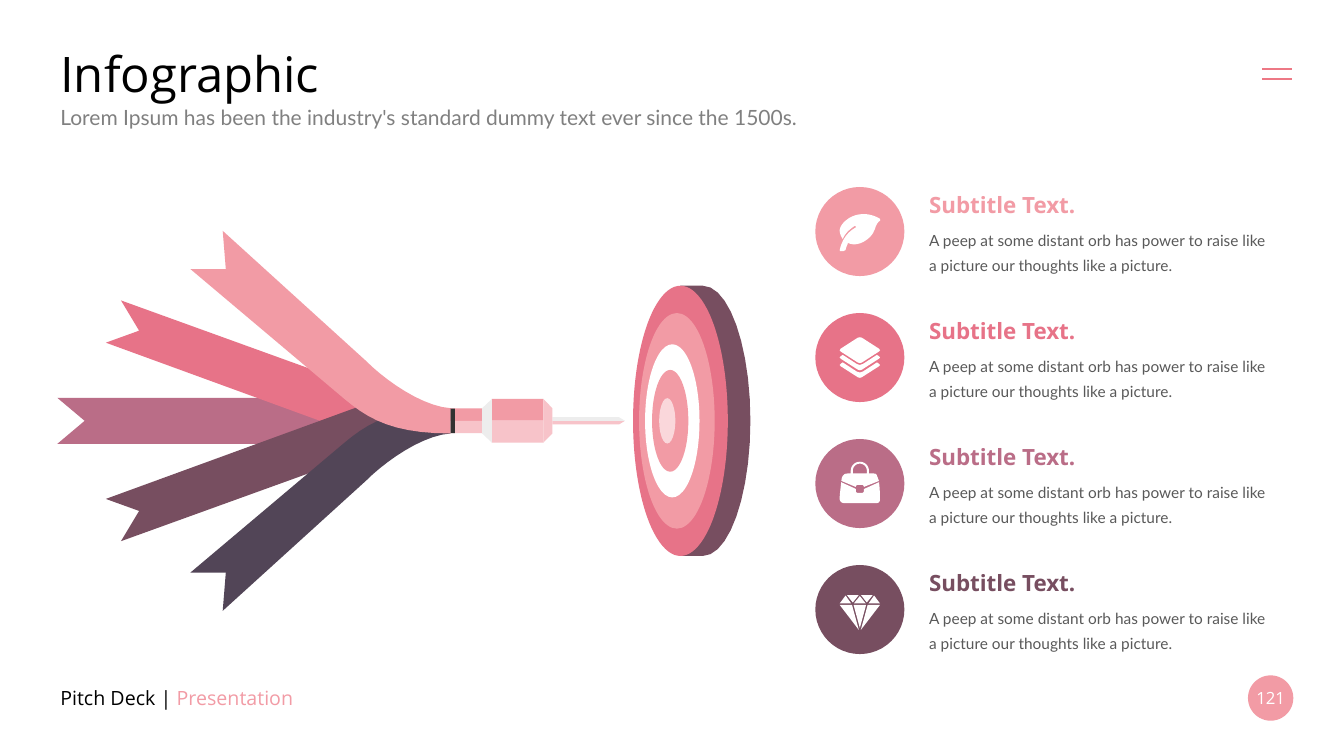
from lxml import etree
from pptx import Presentation
from pptx.dml.color import RGBColor
from pptx.enum.shapes import MSO_CONNECTOR, MSO_SHAPE
from pptx.enum.text import MSO_ANCHOR, PP_ALIGN
from pptx.oxml.ns import qn
from pptx.util import Pt

OVAL, RECTANGLE = MSO_SHAPE.OVAL, MSO_SHAPE.RECTANGLE
STRAIGHT = MSO_CONNECTOR.STRAIGHT
TOP, MIDDLE = MSO_ANCHOR.TOP, MSO_ANCHOR.MIDDLE
LEFT, CENTER = PP_ALIGN.LEFT, PP_ALIGN.CENTER

COLORS = {
    "pink": "F29BA5", "rose": "E77388", "mauve": "BA6D87", "plum": "774E60",
    "violet": "524557", "blush": "F7C3C9", "pale": "FAD7DB", "silver": "EDEDED",
    "white": "FFFFFF", "black": "000000", "charcoal": "323232",
    "menu": "ED7885", "gray": "808080", "body": "595959",
}
CURVE_STEPS = 10

deck = Presentation()
deck.slide_width, deck.slide_height = Pt(960), Pt(540)
page = deck.slides.add_slide(deck.slide_layouts[6])


def add_figure(figure, color, left, top, width=0, height=0):
    """Add a preset shape, or a list of contours relative to (left, top).

    A contour point is (x, y), or six numbers for a Bezier curve.
    """
    if isinstance(figure, list):
        builder = None
        for contour in figure:
            points = []
            for point in contour:
                if len(point) == 2:
                    points.append(point)
                    continue
                x0, y0 = points[-1]
                x1, y1, x2, y2, x3, y3 = point
                for step in range(1, CURVE_STEPS + 1):
                    t = step / CURVE_STEPS
                    a, b, c, d = (1 - t) ** 3, 3 * t * (1 - t) ** 2, 3 * t * t * (1 - t), t ** 3
                    points.append((a * x0 + b * x1 + c * x2 + d * x3,
                                   a * y0 + b * y1 + c * y2 + d * y3))
            points = [(Pt(left + x), Pt(top + y)) for x, y in points]
            if builder is None:
                builder = page.shapes.build_freeform(*points[0], scale=1.0)
            else:
                builder.move_to(*points[0])
            builder.add_line_segments(points[1:], close=True)
        shape = builder.convert_to_shape()
    else:
        shape = page.shapes.add_shape(figure, Pt(left), Pt(top), Pt(width), Pt(height))
    shape.shadow.inherit = False
    shape.fill.solid()
    shape.fill.fore_color.rgb = RGBColor.from_string(COLORS[color])
    shape.line.fill.background()


def add_text(left, top, width, height, spans, size, font, anchor=TOP,
             align=LEFT, bold=False, spacing=None):
    box = page.shapes.add_textbox(Pt(left), Pt(top), Pt(width), Pt(height))
    frame = box.text_frame
    frame.word_wrap = True
    frame.vertical_anchor = anchor
    if align == CENTER:
        frame.margin_left = frame.margin_right = 0
    paragraph = frame.paragraphs[0]
    paragraph.alignment = align
    if spacing:
        paragraph.line_spacing = Pt(spacing)
    for text, color in spans:
        span = paragraph.add_run()
        span.text = text
        span.font.name, span.font.size, span.font.bold = font, Pt(size), bold
        span.font.color.rgb = RGBColor.from_string(COLORS[color])


# Header and footer
add_figure(OVAL, "pink", 891.4, 482.4, 32.4, 32.4)
add_text(36, 28.1, 888, 47.5, [("Infographic", "black")], 35, "Open Sans", MIDDLE)
add_text(36, 71.3, 888, 25.2,
         [("Lorem Ipsum has been the industry's standard dummy text ever since the 1500s.", "gray")],
         15, "Lato")
add_text(36, 483.8, 237, 28.8, [("Pitch Deck | ", "black"), ("Presentation", "pink")],
         14, "Open Sans", MIDDLE)
add_text(888.2, 490.3, 38.9, 15.8, [("121", "white")], 12, "Open Sans", MIDDLE, CENTER)
for y in (49.2, 56.6):
    bar = page.shapes.add_connector(STRAIGHT, Pt(901.8), Pt(y), Pt(923), Pt(y))
    bar.line.color.rgb = RGBColor.from_string(COLORS["menu"])
    bar.line.width = Pt(1.5)
    etree.SubElement(bar._element.spPr, qn("a:effectLst"))

# Target, centred on the flight axis of the dart
AXIS = 300.6
target_edge = [(502, -96.5), (486, -96.5), (486, -85), (475.2, -68.5, 468, -37, 468, 0),
               (468, 37, 475.2, 68.5, 486, 85), (486, 96.5), (502, 96.5),
               (520.6, 96.5, 536, 53.6, 536, 0), (536, -53.6, 520.6, -96.5, 502, -96.5)]
add_figure([target_edge], "plum", 0, AXIS)
for color, left, width, height in (
    ("rose", 452.2, 67.7, 193), ("pink", 456.5, 54, 154), ("white", 460.8, 38.9, 109.4),
    ("pink", 465.8, 25.9, 72.7), ("pale", 470.9, 11.5, 32.4),
):
    add_figure(OVAL, color, left, AXIS - height / 2, width, height)

# Dart needle and tail ribbons
for color, side in (("blush", 2.6), ("silver", -2.6)):
    add_figure([[(394.6, 0), (394.6, side), (442.1, side), (446.4, 0)]], color, 0, AXIS)
middle_ribbon = [(41, -16.4), (60.5, 0), (41, 16.4), (263.5, 16.4), (263.5, -16.4)]
side_ribbon = [(86.4, -86), (99.4, -64.4), (75.6, -55.8), (286.6, 21.2), (297.4, -9.7)]
outer_ribbon = [(261.4, -42.8), (159.1, -135.7), (161.3, -108.4), (136, -108.4),
                (246.2, -15.5), (264.2, -0.4, 282.2, 9, 321.8, 9), (321.8, -9),
                (301.7, -10.4, 275.8, -28.4, 261.4, -42.8)]
for ribbon, color, flip in (
    (middle_ribbon, "mauve", 1), (side_ribbon, "rose", 1), (side_ribbon, "plum", -1),
    (outer_ribbon, "violet", -1), (outer_ribbon, "pink", 1),
):
    contour = [tuple(v * flip if i % 2 else v for i, v in enumerate(point)) for point in ribbon]
    add_figure([contour], color, 0, AXIS)

# Dart barrel
for left, width, half in ((321.8, 22.4, 8.9), (351.4, 36.7, 15.6)):
    add_figure(RECTANGLE, "pink", left, AXIS - half, width, half)
    add_figure(RECTANGLE, "blush", left, AXIS, width, half)
for color, wide, narrow in (("blush", 388.1, 394.6), ("silver", 351.4, 344.4)):
    add_figure([[(wide, -15.6), (narrow, -9), (narrow, 9), (wide, 15.6)]], color, 0, AXIS)
add_figure(RECTANGLE, "charcoal", 321.8, AXIS - 8.8, 3.1, 17.6)

# Icons, relative to the centre of their circles
leaf = [[(14.4, -9.1), (7.2, -13.5, -0.7, -13.5, -7.2, -9.9),
         (-10.8, -7.7, -13.7, -4.8, -14.4, -1.2), (-14.4, 1, -13.7, 3.1, -12.2, 5.3),
         (-10.8, 1.7, -7.9, -1.2, -3.6, -4.1), (-2.9, -3.7), (-2.9, -2.9),
         (-10.1, 1, -13, 7.4, -14.4, 13.2), (-14.2, 13.9), (-11.5, 13.9), (-10.1, 13.2),
         (-10.1, 11, -8.6, 9.6, -8.6, 8.1), (-2.9, 11, 4.3, 7.4, 7.9, 3.1),
         (9.4, 1.7, 10.1, -0.5, 10.8, -1.9), (11.5, -4.1, 12.2, -6.3, 14.4, -7.7)]]
sheet = [(-13.7, -4.3), (-1.4, 3.6), (0, 4), (1.4, 3.6), (13.7, -4.3), (14.4, -5.2),
         (13.7, -6.3), (1.4, -14.2), (0, -14.5), (-1.4, -14.2), (-13.7, -6.3), (-14.4, -5.2)]
band = [(-13.7, 0.8), (-1.4, 8.7), (0, 9.1), (1.4, 8.7), (13.7, 0.8), (14.4, 0),
        (13.7, -0.9), (12.2, -1.9), (2.2, 4.6), (0, 5.3), (-2.2, 4.6), (-12.2, -1.9),
        (-13.7, -0.9), (-14.4, 0)]
layers = [sheet] + [[(x, y + drop) for x, y in band] for drop in (0, 5.4)]
bag_flap = [(-2.9, 2.4), (-2.9, 1.6, -2.2, 0.9, -1.4, 0.9), (1.4, 0.9),
            (2.2, 0.9, 2.9, 1.6, 2.9, 2.4), (13.7, -1.9), (13, -3.4, 13, -4.1, 12.2, -5.5),
            (12.2, -7, 10.8, -7.2, 9.4, -7.2), (6.5, -7.2), (6.5, -9.1),
            (6.5, -12.7, 3.6, -15.6, 0, -15.6), (-3.6, -15.6, -6.5, -12.7, -6.5, -9.1),
            (-6.5, -7.2), (-8.6, -7.2), (-10.8, -7.2, -11.5, -6.3, -12.2, -5.5),
            (-13, -4.1, -13, -3.4, -13.2, -1.9)]
bag_handle = [(-5, -9.1), (-5, -12, -2.9, -14.2, 0, -14.2),
              (2.9, -14.2, 5, -12, 5, -9.1), (5, -7.2), (-5, -7.2)]
bag_body = [(13.7, -1), (3.2, 3.8), (2.9, 3.8), (2.9, 5.3), (2.9, 6, 2.2, 6.7, 1.4, 6.7),
            (-1.4, 6.7), (-2.2, 6.7, -2.9, 6, -2.9, 5.3), (-2.9, 3.8), (-13.3, -1),
            (-13.7, 3.1, -14.4, 7.4, -14.4, 11), (-14.4, 12.5, -13, 13.9, -11.5, 13.9),
            (12.2, 13.9), (13.7, 13.9, 14.4, 12.5, 14.4, 11.3), (14.4, 10, 14.4, 4.5, 13.7, -1)]
facets = [[(5, -5), (9.2, -10.3), (0.8, -10.3)], [(14.4, -4.3), (10.2, -10), (6.2, -4.3)],
          [(5.6, -3.3), (0.7, 14.6), (14.4, -3.3)]]
diamond = [[(-4.5, -3.3), (4.5, -3.3), (0, 13.2)], [(-4.3, -4.3), (4.3, -4.3), (0, -9.6)]]
diamond += [[(x * side, y) for x, y in facet] for facet in facets for side in (1, -1)]

# Subtitle rows
for row, (icon, color) in enumerate((
    (leaf, "pink"), (layers, "rose"), ([bag_flap, bag_handle, bag_body], "mauve"),
    (diamond, "plum"),
)):
    top = 133.4 + 90 * row
    add_text(656.6, top + 23.4, 257, 41.8,
             [("A peep at some distant orb has power to raise like a picture our thoughts "
               "like a picture.", "body")], 11, "Lato", spacing=18)
    add_text(656.6, top - 0.4, 257, 26.6, [("Subtitle Text.", color)], 16, "Open Sans", bold=True)
    add_figure(OVAL, color, 582.4, top + 0.2, 63.6, 63.6)
    add_figure(icon, "white", 614.2, top + 32)

deck.save("out.pptx")
